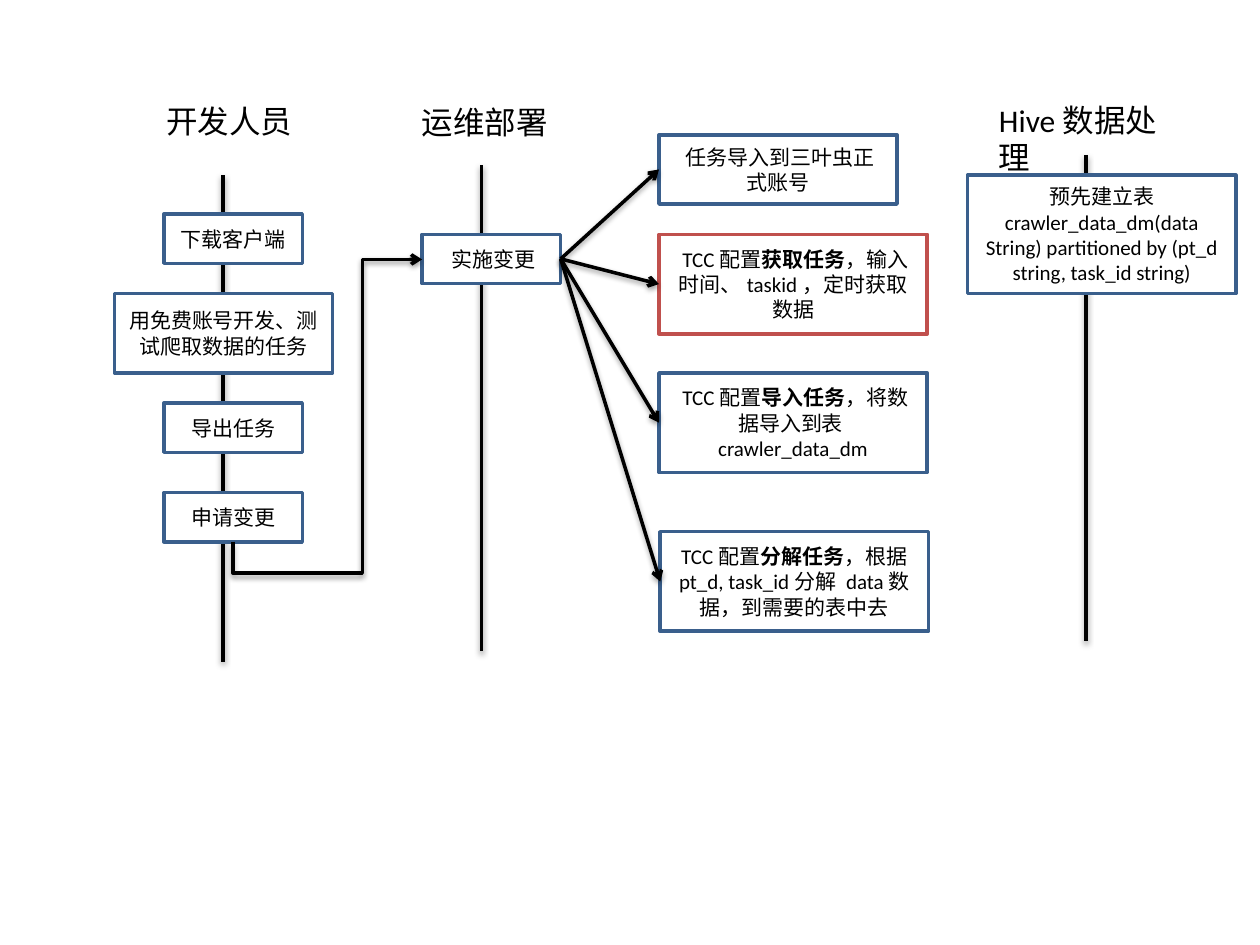
from dataclasses import dataclass

from lxml import etree
from pptx import Presentation, util as u
from pptx.dml.color import RGBColor
from pptx.enum import shapes as sh, text as tx
from pptx.oxml import parse_xml
from pptx.oxml.ns import nsdecls, qn


@dataclass(frozen=True)
class Theme:
    ink: str = "000000"
    paper: str = "FFFFFF"
    blue: str = "3A5F8C"
    red: str = "C0504D"
    font: str = "Calibri"
    head: int = 18
    body: int = 12
    line: int = 2


@dataclass(frozen=True)
class Lane:
    name: str
    left: float
    top: float
    width: float
    axis: float
    start: float


@dataclass(frozen=True)
class Box:
    """A framed step; every second piece of its wording is bold."""
    words: tuple
    left: float
    top: float
    width: float
    height: float
    edge: str


T = Theme()
AXIS = 3.86
SMALL = (1.1, 0.39)
WIDE = (2.13, 0.79)

LANES = [
    Lane("Hive数据处理", 7.83, 0.75, 1.65, 8.62, 1.23),
    Lane("开发人员", 1.22, 0.76, 1.65, 1.77, 1.39),
    Lane("运维部署", 3.25, 0.77, 1.26, 3.82, 1.31),
]
STEPS = [
    Box(("下载客户端",), 1.3, 1.7, *SMALL, T.blue),
    Box(("用免费账号开发、测试爬取数据的任务",), 0.91, 2.33, 1.73, 0.63, T.blue),
    Box(("导出任务",), 1.3, 3.2, *SMALL, T.blue),
    Box(("申请变更",), 1.3, 3.91, *SMALL, T.blue),
    Box((" 预先建立表crawler_data_dm(data String) partitioned by "
         "(pt_d string, task_id string)",), 7.68, 1.39, 2.13, 0.94, T.blue),
]
DEPLOY = Box((" 实施变更",), 3.35, 1.86, *SMALL, T.blue)
TASKS = [
    Box((" 任务导入到三叶虫正式账号",), 5.23, 1.07, 1.89, 0.55, T.blue),
    Box((" TCC配置", "获取任务", "，输入时间、taskid，定时获取数据"),
        5.23, 1.86, *WIDE, T.red),
    Box((" TCC配置", "导入任务", "，将数据导入到表crawler_data_dm"),
        5.23, 2.96, *WIDE, T.blue),
    Box((" TCC配置", "分解任务", "，根据pt_d, task_id分解 data数据，到需要的表中去"),
        5.24, 4.22, *WIDE, T.blue),
]


def color(code: str) -> RGBColor:
    return RGBColor.from_string(code)


def style(font, size: int, bold: bool = False) -> None:
    font.name, font.size, font.bold = T.font, u.Pt(size), bold
    font.color.rgb = color(T.ink)


def draw_line(slide, kind, start: tuple, end: tuple, arrow: bool = False):
    """Add a black connector with a soft shadow below it."""
    line = slide.shapes.add_connector(kind, *map(u.Inches, start + end))
    line.line.width = u.Pt(T.line)
    line.line.color.rgb = color(T.ink)
    props = line._element.spPr
    if arrow:
        etree.SubElement(props.find(qn("a:ln")), qn("a:tailEnd"), type="arrow")
    props.append(parse_xml(
        f'<a:effectLst {nsdecls("a")}><a:outerShdw blurRad="40000" dist="20000" '
        f'dir="5400000" rotWithShape="0"><a:srgbClr val="{T.ink}">'
        '<a:alpha val="38000"/></a:srgbClr></a:outerShdw></a:effectLst>'))
    return line


def draw_lane(slide, lane: Lane) -> None:
    draw_line(slide, sh.MSO_CONNECTOR.STRAIGHT, (lane.axis, lane.start),
              (lane.axis, lane.start + AXIS))
    label = slide.shapes.add_textbox(
        *map(u.Inches, (lane.left, lane.top, lane.width, 0.4)))
    frame = label.text_frame
    frame.word_wrap = True
    frame.auto_size = tx.MSO_AUTO_SIZE.SHAPE_TO_FIT_TEXT
    frame.text = lane.name
    style(frame.paragraphs[0].runs[0].font, T.head)


def draw_box(slide, box: Box):
    rect = slide.shapes.add_shape(
        sh.MSO_SHAPE.RECTANGLE,
        *map(u.Inches, (box.left, box.top, box.width, box.height)))
    rect.shadow.inherit = False
    rect.fill.solid()
    rect.fill.fore_color.rgb = color(T.paper)
    rect.line.color.rgb = color(box.edge)
    rect.line.width = u.Pt(T.line)
    frame = rect.text_frame
    frame.word_wrap = True
    frame.vertical_anchor = tx.MSO_ANCHOR.MIDDLE
    para = frame.paragraphs[0]
    para.alignment = tx.PP_ALIGN.CENTER
    for i, piece in enumerate(box.words):
        run = para.add_run()
        run.text = piece
        style(run.font, T.body, i % 2 == 1)
    return rect


def draw_bend(slide) -> None:
    """Lead from the foot of the last developer step to the deploy step."""
    bend = draw_line(slide, sh.MSO_CONNECTOR.ELBOW, (3.72, 3.93), (1.48, 2.43), True)
    props = bend._element.spPr
    props.find(qn("a:xfrm")).set("rot", "5400000")
    geom = props.find(qn("a:prstGeom"))
    geom.set("prst", "bentConnector4")
    guides = geom.find(qn("a:avLst"))
    if guides is None:
        guides = etree.SubElement(geom, qn("a:avLst"))
    for name, value in (("adj1", -11100), ("adj2", 68400)):
        etree.SubElement(guides, qn("a:gd"), name=name, fmla=f"val {value}")


def main() -> None:
    deck = Presentation()
    deck.slide_width, deck.slide_height = u.Inches(10), u.Inches(7.5)
    slide = deck.slides.add_slide(deck.slide_layouts[6])
    for lane in LANES:
        draw_lane(slide, lane)
    for step in STEPS:
        draw_box(slide, step)
    deploy = draw_box(slide, DEPLOY)
    draw_bend(slide)
    for task in TASKS:
        rect = draw_box(slide, task)
        arrow = draw_line(slide, sh.MSO_CONNECTOR.STRAIGHT, (0, 0), (1, 1), True)
        arrow.begin_connect(deploy, 3)
        arrow.end_connect(rect, 1)
    deck.save("out.pptx")


if __name__ == "__main__":
    main()
